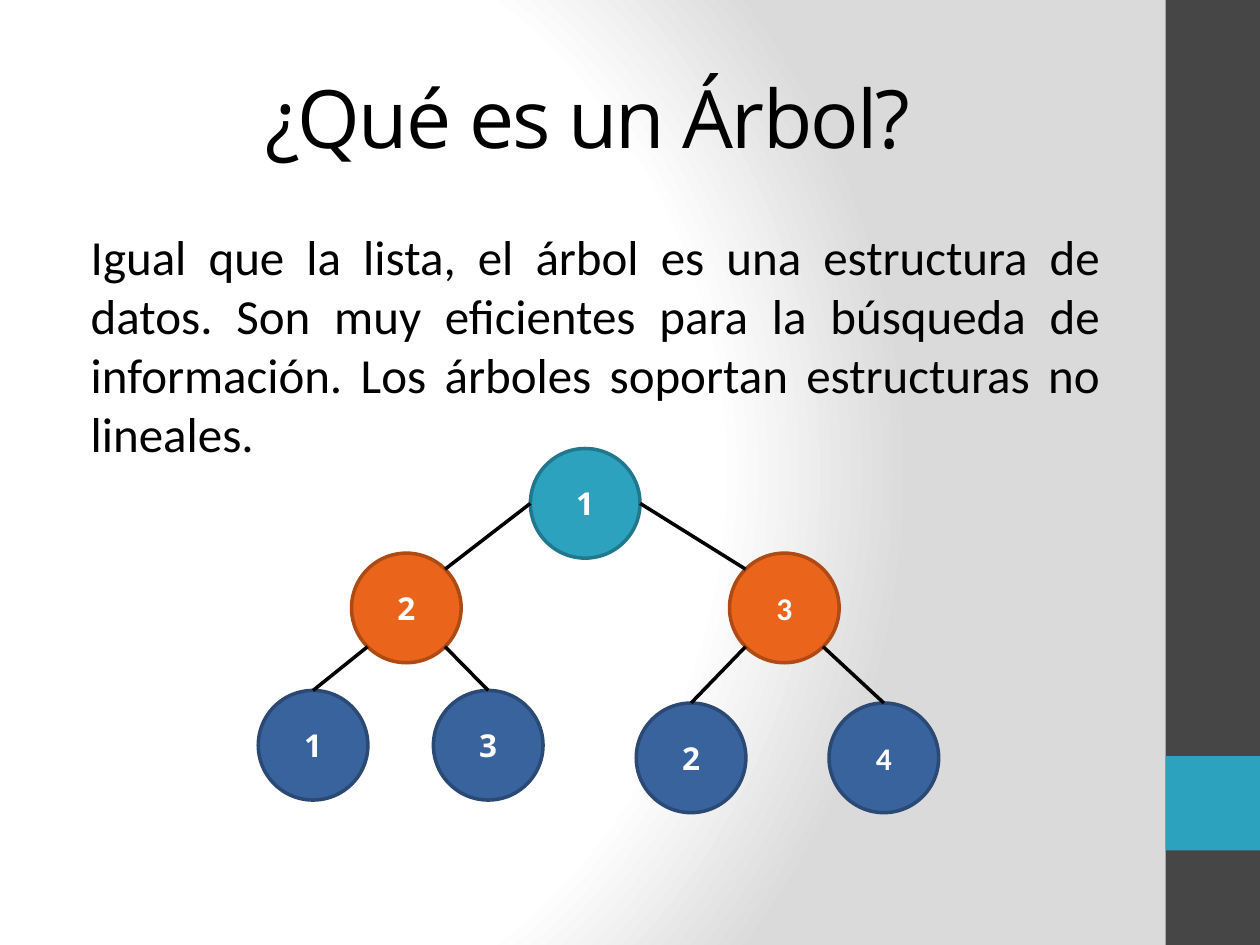
from math import cos, radians, sin

from pptx import Presentation
from pptx.dml.color import RGBColor
from pptx.enum.shapes import MSO_CONNECTOR, MSO_SHAPE
from pptx.enum.text import MSO_ANCHOR, MSO_AUTO_SIZE, PP_ALIGN
from pptx.oxml import parse_xml
from pptx.oxml.ns import nsdecls, qn
from pptx.util import Inches, Pt

WIDTH, HEIGHT = 10, 7.5
DIAMETER = 0.87
TEAL, ORANGE, BLUE = ("2DA2BF", "21788D"), ("EB641B", "AE4A14"), ("39639D", "2A4974")
# Angles of the points on a circle where branches attach, clockwise from the right
RIGHT, LOWER_RIGHT, LOWER_LEFT, LEFT, UPPER_LEFT, TOP, UPPER_RIGHT = 0, 45, 135, 180, 225, 270, 315

# name: (left, top, label, colours, font), relative to the tree's box
NODES = {
    "root": (2.16, 0, "1", TEAL, "Open Sans"),
    "left": (0.74, 0.83, "2", ORANGE, "Open Sans"),
    "right": (3.74, 0.83, "3", ORANGE, "Calibri"),
    "left_a": (0, 1.92, "1", BLUE, "Open Sans"),
    "left_b": (1.39, 1.92, "3", BLUE, "Open Sans"),
    "right_a": (3, 2.02, "2", BLUE, "Open Sans"),
    "right_b": (4.53, 2.02, "4", BLUE, "Calibri"),
}
# (parent, angle on parent, child, angle on child)
BRANCHES = [
    ("root", RIGHT, "right", UPPER_LEFT),
    ("root", LEFT, "left", UPPER_RIGHT),
    ("left", LOWER_RIGHT, "left_b", TOP),
    ("right", LOWER_RIGHT, "right_b", TOP),
    ("right", LOWER_LEFT, "right_a", TOP),
    ("left", LOWER_LEFT, "left_a", TOP),
]


def color(hex_string):
    """Turn a hex string into a colour."""
    return RGBColor.from_string(hex_string)


def style_text(frame, text, font, size, hex_string, align, bold=False):
    """Write one paragraph with its font and alignment."""
    frame.auto_size = MSO_AUTO_SIZE.NONE
    frame.word_wrap = True
    paragraph = frame.paragraphs[0]
    paragraph.alignment = align
    run = paragraph.add_run()
    run.text = text
    run.font.name, run.font.size, run.font.bold = font, Pt(size), bold
    run.font.color.rgb = color(hex_string)
    return paragraph, run


def add_filled(slide, kind, box, fill, outline=None):
    """Add a flat shape with an optional 2 pt outline."""
    shape = slide.shapes.add_shape(kind, *map(Inches, box))
    shape.shadow.inherit = False
    shape.fill.solid()
    shape.fill.fore_color.rgb = color(fill)
    if outline:
        shape.line.color.rgb = color(outline)
        shape.line.width = Pt(2)
    else:
        shape.line.fill.background()
    return shape


def set_background(slide):
    """Fill the background with a white to grey radial gradient."""
    slide.background.fill.solid()
    properties = slide.element.cSld.find(qn("p:bg")).find(qn("p:bgPr"))
    stops = "".join(
        f'<a:gs pos="{share * 1000}"><a:srgbClr val="{value}"/></a:gs>'
        for share, value in [(0, "FFFFFF"), (75, "FFFFFF"), (100, "DADADA")])
    gradient = parse_xml(
        f'<a:gradFill {nsdecls("a")} rotWithShape="1"><a:gsLst>{stops}</a:gsLst>'
        '<a:path path="circle"><a:fillToRect l="20000" t="50000" r="100000" b="50000"/>'
        '</a:path></a:gradFill>')
    properties.replace(properties.find(qn("a:solidFill")), gradient)


def add_side_band(slide, left, width):
    """Draw the dark band on the right with its teal square."""
    add_filled(slide, MSO_SHAPE.RECTANGLE, (left, 0, width, HEIGHT), "464646")
    add_filled(slide, MSO_SHAPE.RECTANGLE, (left, 0.8 * HEIGHT, width, width), TEAL[0])


def place(placeholder, box):
    """Move a placeholder to a box."""
    placeholder.left, placeholder.top, placeholder.width, placeholder.height = map(Inches, box)
    return placeholder.text_frame


def add_texts(slide, left, width):
    """Fill the title and the justified body paragraph."""
    frame = place(slide.shapes.title, (left, 0.3, width, 1.25))
    frame.vertical_anchor = MSO_ANCHOR.MIDDLE
    _, run = style_text(frame, "¿Qué es un Árbol?", "Open Sans", 46, "000000", PP_ALIGN.CENTER)
    run.font._element.set("spc", "-100")

    frame = place(slide.placeholders[1], (left, 1.75, width, 0.98))
    paragraph, _ = style_text(
        frame,
        "Igual que la lista, el árbol es una estructura de datos. Son muy eficientes para la "
        "búsqueda de información. Los árboles soportan estructuras no lineales.",
        "Calibri", 28, "000000", PP_ALIGN.JUSTIFY)
    properties = paragraph._p.get_or_add_pPr()
    properties.set("marL", str(Inches(0.12)))
    properties.set("indent", "0")
    properties.append(parse_xml(f'<a:buNone {nsdecls("a")}/>'))


def add_tree(slide, left, top):
    """Draw the nodes, then the branches between points on their edges."""
    for x, y, label, (fill, outline), font in NODES.values():
        node = add_filled(slide, MSO_SHAPE.OVAL,
                          (left + x, top + y, DIAMETER, DIAMETER), fill, outline)
        node.text_frame.vertical_anchor = MSO_ANCHOR.MIDDLE
        style_text(node.text_frame, label, font, 18, "FFFFFF", PP_ALIGN.CENTER, bold=True)

    def edge_point(name, angle):
        """Find the point of a node's edge at an angle."""
        x, y = NODES[name][:2]
        radius = DIAMETER / 2
        return (Inches(left + x + radius * (1 + cos(radians(angle)))),
                Inches(top + y + radius * (1 + sin(radians(angle)))))

    for parent, parent_angle, child, child_angle in BRANCHES:
        branch = slide.shapes.add_connector(
            MSO_CONNECTOR.STRAIGHT,
            *edge_point(parent, parent_angle), *edge_point(child, child_angle))
        branch.line.color.rgb = color("000000")
        branch.line.width = Pt(2)
        branch._element.spPr.append(parse_xml(f'<a:effectLst {nsdecls("a")}/>'))


def build():
    """Build the slide and save it."""
    deck = Presentation()
    deck.slide_width, deck.slide_height = Inches(WIDTH), Inches(HEIGHT)
    slide = deck.slides.add_slide(deck.slide_layouts[1])
    set_background(slide)
    add_side_band(slide, 9.25, 0.75)
    add_texts(slide, 0.5, 8.33)
    add_tree(slide, 2.05, 3.56)
    deck.save("out.pptx")


build()
